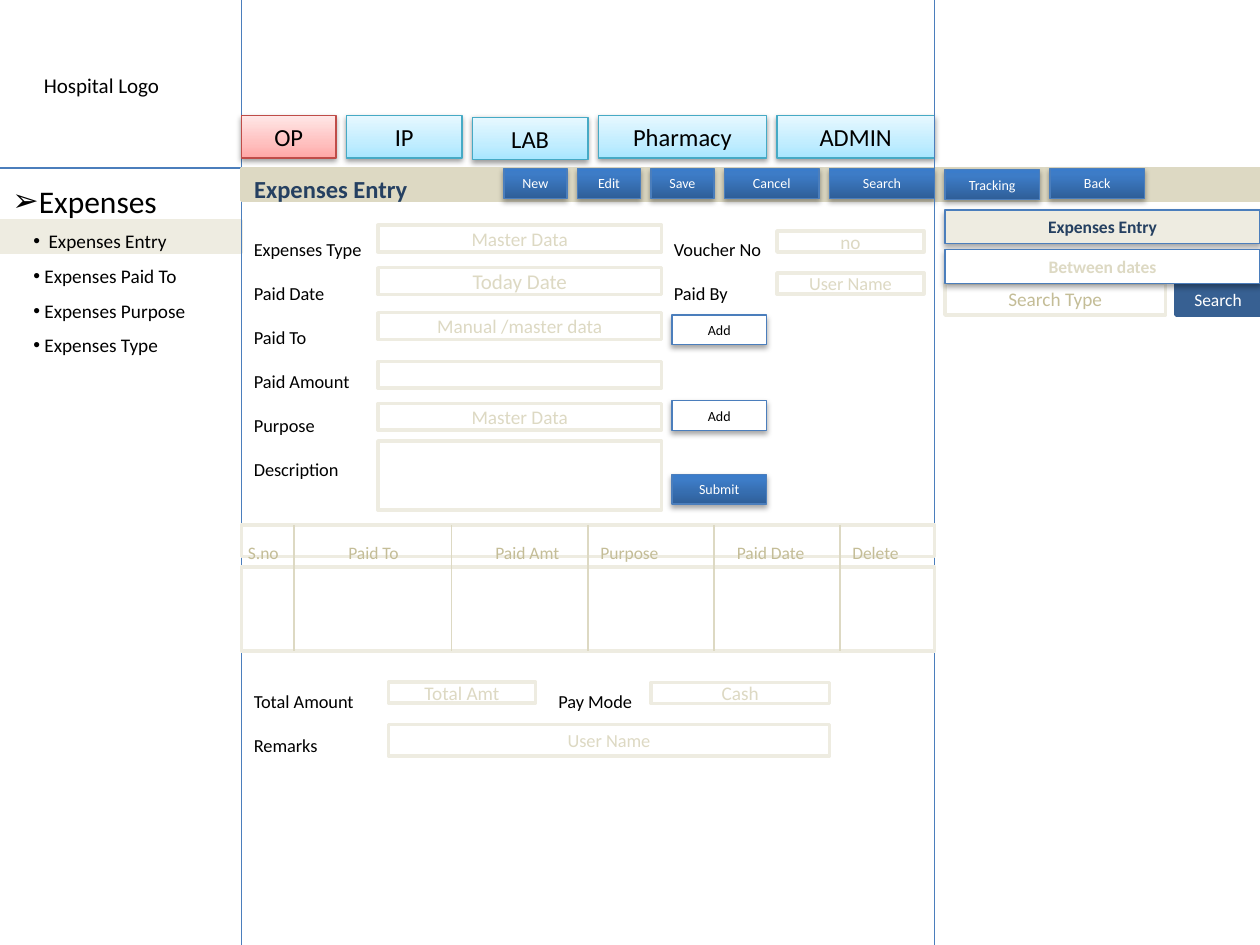
from dataclasses import dataclass
from typing import Optional

from lxml import etree
from pptx import Presentation
from pptx import util as u
from pptx.dml import color as dml
from pptx.enum import shapes, text
from pptx.oxml import ns

FONT = "Calibri"
PALE, SAND, KHAKI = "EEECE1", "DDD9C3", "C4BD97"
BLUE, NAVY, STEEL = "4B7EBC", "254061", "376092"
WHITE, BLACK = "FFFFFF", "000000"
LEFT, RIGHT, SIDE = 138, 534, 540


@dataclass
class Look:
    fill: str
    line: str
    weight: float
    ink: str
    size: float
    bold: bool = False
    stops: tuple = ()
    shadow: Optional[tuple] = None


@dataclass
class Block:
    x: float
    y: float
    w: float
    h: float
    words: str = ""
    size: Optional[float] = None


@dataclass
class Bullet:
    mark: str
    words: str
    hang: float


BUTTON_SHADOW = (35, 1.8)
TAB_SHADOW = (38, 1.6)
BLUE_STOPS = ((0, "2F5F99"), (80, "3D7CC7"), (100, "3A7CCB"))
RED_STOPS = ((0, "FFA6A5"), (35, "FFC0BF"), (100, "FFE7E7"))
AQUA_STOPS = ((0, "A7E6FF"), (35, "C1EDFF"), (100, "E7F8FF"))

HIGHLIGHT = Look(PALE, PALE, 2, BLACK, 11)
BAND = Look(SAND, SAND, 2, BLACK, 11)
FIELD = Look(WHITE, PALE, 2, SAND, 11)
SEARCH_FIELD = Look(WHITE, PALE, 2, KHAKI, 11)
SEARCH_BUTTON = Look(STEEL, STEEL, 2, WHITE, 10)
RED_TAB = Look("", "BF4C48", 0.75, BLACK, 14, stops=RED_STOPS, shadow=TAB_SHADOW)
AQUA_TAB = Look("", "46AAC5", 0.75, BLACK, 14, stops=AQUA_STOPS, shadow=TAB_SHADOW)
BUTTON = Look("", BLUE, 0.75, WHITE, 8, stops=BLUE_STOPS, shadow=BUTTON_SHADOW)
ADD_BUTTON = Look(WHITE, BLUE, 0.75, BLACK, 8, shadow=BUTTON_SHADOW)
PANEL_HEAD = Look(PALE, BLUE, 0.75, NAVY, 10, bold=True, shadow=BUTTON_SHADOW)
PANEL_DATES = Look(WHITE, BLUE, 0.75, SAND, 10, bold=True, shadow=BUTTON_SHADOW)


def rgb(code: str) -> dml.RGBColor:
    return dml.RGBColor.from_string(code)


def child(parent, tag: str, **attributes):
    element = etree.SubElement(parent, ns.qn(tag))
    for key, value in attributes.items():
        element.set(key, str(value))
    return element


def set_font(para, size: float, ink: str, bold: bool = False) -> None:
    para.font.name = FONT
    para.font.size = u.Pt(size)
    para.font.bold = bold
    para.font.color.rgb = rgb(ink)


def set_gradient(shape, stops: tuple) -> None:
    shape.fill.gradient()
    shape.fill.gradient_angle = 90
    stop_list = shape.element.spPr.find(".//" + ns.qn("a:gsLst"))
    for old in list(stop_list):
        stop_list.remove(old)
    for position, code in stops:
        stop = child(stop_list, "a:gs", pos=position * 1000)
        child(stop, "a:srgbClr", val=rgb(code))


def set_shadow(shape, alpha: int, distance: float) -> None:
    effects = shape.element.spPr.find(ns.qn("a:effectLst"))
    shadow = child(effects, "a:outerShdw", blurRad=u.Pt(3.1), dist=u.Pt(distance),
                   dir=5400000, rotWithShape=0)
    child(child(shadow, "a:srgbClr", val=rgb(BLACK)), "a:alpha", val=alpha * 1000)


def draw_block(page, block: Block, look: Look) -> None:
    shape = page.shapes.add_shape(shapes.MSO_SHAPE.RECTANGLE, u.Pt(block.x), u.Pt(block.y),
                                  u.Pt(block.w), u.Pt(block.h))
    if look.stops:
        set_gradient(shape, look.stops)
    else:
        shape.fill.solid()
        shape.fill.fore_color.rgb = rgb(look.fill)
    shape.line.color.rgb = rgb(look.line)
    shape.line.width = u.Pt(look.weight)
    shape.shadow.inherit = False
    if look.shadow:
        set_shadow(shape, *look.shadow)
    if block.words:
        shape.text_frame.vertical_anchor = text.MSO_ANCHOR.MIDDLE
        para = shape.text_frame.paragraphs[0]
        para.text = block.words
        para.alignment = text.PP_ALIGN.CENTER
        set_font(para, block.size or look.size, look.ink, look.bold)


def draw_line(page, x1: float, y1: float, x2: float, y2: float, code: str = BLUE) -> None:
    line = page.shapes.add_connector(shapes.MSO_CONNECTOR.STRAIGHT,
                                     u.Pt(x1), u.Pt(y1), u.Pt(x2), u.Pt(y2))
    line.line.color.rgb = rgb(code)
    line.line.width = u.Pt(0.75)
    child(line.element.spPr, "a:effectLst")


def draw_text(page, x: float, y: float, w: float, h: float, items: list, size: float,
              spacing: float = 1, ink: str = BLACK, wrap: bool = False) -> None:
    box = page.shapes.add_textbox(u.Pt(x), u.Pt(y), u.Pt(w), u.Pt(h))
    frame = box.text_frame
    frame.word_wrap = wrap
    for index, item in enumerate(items):
        para = frame.add_paragraph() if index else frame.paragraphs[0]
        para.line_spacing = spacing
        if isinstance(item, Bullet):
            para.text = item.words
            properties = para._p.get_or_add_pPr()
            properties.set("marL", str(u.Pt(item.hang)))
            properties.set("indent", str(-u.Pt(item.hang)))
            child(properties, "a:buFont", typeface="Arial")
            child(properties, "a:buChar", char=item.mark)
        else:
            para.text = item
        set_font(para, size, ink)


def draw_title(page) -> None:
    title = page.shapes.title
    title.left, title.top, title.width, title.height = map(u.Pt, (LEFT, 96, 103, 24.5))
    frame = title.text_frame
    frame.word_wrap = False
    frame.auto_size = text.MSO_AUTO_SIZE.NONE
    frame.vertical_anchor = text.MSO_ANCHOR.TOP
    para = frame.paragraphs[0]
    para.text = "Expenses Entry"
    para.alignment = text.PP_ALIGN.LEFT
    set_font(para, 14, NAVY, True)
    page.shapes._spTree.append(title.element)


def draw_navigation(page) -> None:
    draw_block(page, Block(0, 126, LEFT, 18), HIGHLIGHT)
    draw_line(page, 0, 96, 720, 96)
    draw_line(page, LEFT, 0, LEFT, 540)
    draw_text(page, 18, 38, 81, 22, ["Hospital Logo"], 12)
    tabs = [("OP", LEFT, 54, 66), ("IP", 198, 66, 66), ("LAB", 270, 66, 67),
            ("Pharmacy", 342, 96, 66), ("ADMIN", 444, 90, 66)]
    for name, x, width, y in tabs:
        draw_block(page, Block(x, y, width, 24.3, name), RED_TAB if name == "OP" else AQUA_TAB)
    draw_text(page, 0, 89.5, 101, 36.5, [Bullet("➢", "Expenses", 14.4)], 18, 1.5)
    entries = [Bullet("•", "Expenses Entry", 8.7)]
    entries += [Bullet("•", f"Expenses {name}", 6.3) for name in ("Paid To", "Purpose", "Type")]
    draw_text(page, 12, 121, 102, 87, entries, 11, 1.5)
    draw_block(page, Block(LEFT, 96.5, 582, 18), BAND)
    buttons = [("New", 288, 36), ("Edit", 330, 36), ("Save", 372, 36), ("Cancel", 414, 54),
               ("Search", 474, 60), ("Tracking", SIDE, 54), ("Back", 600, 54)]
    for name, x, width in buttons:
        draw_block(page, Block(x, 97 if name == "Tracking" else 96.3, width, 17, name), BUTTON)
    draw_line(page, RIGHT, 0, RIGHT, 540)


def draw_form(page) -> None:
    labels = ["Expenses Type", "Paid Date", "Paid To", "Paid Amount", "Purpose", "Description"]
    draw_text(page, LEFT, 120, 78, 160, labels, 10.5, 2)
    draw_text(page, 378, 120, 65.5, 58, ["Voucher No", "Paid By"], 10.5, 2)
    wide_fields = [("Master Data", 128.7, 15.3), ("Today Date", 153, 15.3),
                   ("Manual /master data", 178.7, 15.3), ("", 206.6, 15.3),
                   ("Master Data", 230.6, 15.3), ("", 252, 39.6)]
    for words, y, height in wide_fields:
        size = 12 if words == "Today Date" else 11
        draw_block(page, Block(216, y, 162, height, words, size), FIELD)
    draw_block(page, Block(444, 132, 84, 12, "no"), FIELD)
    draw_block(page, Block(444, 156, 84, 12, "User Name", 10.5), FIELD)
    for y in (180, 229):
        draw_block(page, Block(384, y, 54, 17, "Add"), ADD_BUTTON)
    draw_block(page, Block(384, 271, 54, 17, "Submit"), BUTTON)


def draw_search_panel(page) -> None:
    draw_block(page, Block(SIDE, 120, 180, 19.4, "Expenses Entry"), PANEL_HEAD)
    draw_block(page, Block(SIDE, 162, 126, 18, "Search Type"), SEARCH_FIELD)
    draw_block(page, Block(672, 162, 48, 18, "Search"), SEARCH_BUTTON)
    draw_block(page, Block(SIDE, 142.5, 180, 19.4, "Between dates"), PANEL_DATES)


def draw_ledger(page) -> None:
    for y, height in ((324, 48), (300, 18)):
        draw_block(page, Block(LEFT, y, RIGHT - LEFT, height), FIELD)
    for x in (168, 258, 336, 408, 480):
        draw_line(page, x, 300, x, 372, SAND)
    heads = [("S.no", 134.6, 33.4), ("Paid To", 192, 54), ("Paid Amt", 276, 54),
             ("Purpose", 336, 54), ("Paid Date", 414, 54), ("Delete", 480, 54)]
    for name, x, width in heads:
        draw_text(page, x, 294, width, 28, [name], 10, 2, KHAKI, True)


def draw_payment(page) -> None:
    draw_text(page, LEFT, 378, 73.5, 58, ["Total Amount", "Remarks"], 10.5, 2)
    draw_text(page, 312, 378, 57.5, 29, ["Pay Mode"], 10.5, 2)
    for block in (Block(222, 414, 252, 18, "User Name", 10.5),
                  Block(222, 389.7, 84, 12, "Total Amt"), Block(372, 390, 102, 12, "Cash")):
        draw_block(page, block, FIELD)


def main() -> None:
    deck = Presentation()
    deck.slide_width, deck.slide_height = u.Pt(720), u.Pt(540)
    page = deck.slides.add_slide(deck.slide_layouts[5])
    for draw in (draw_navigation, draw_title, draw_form, draw_search_panel,
                 draw_ledger, draw_payment):
        draw(page)
    deck.save("out.pptx")


if __name__ == "__main__":
    main()
